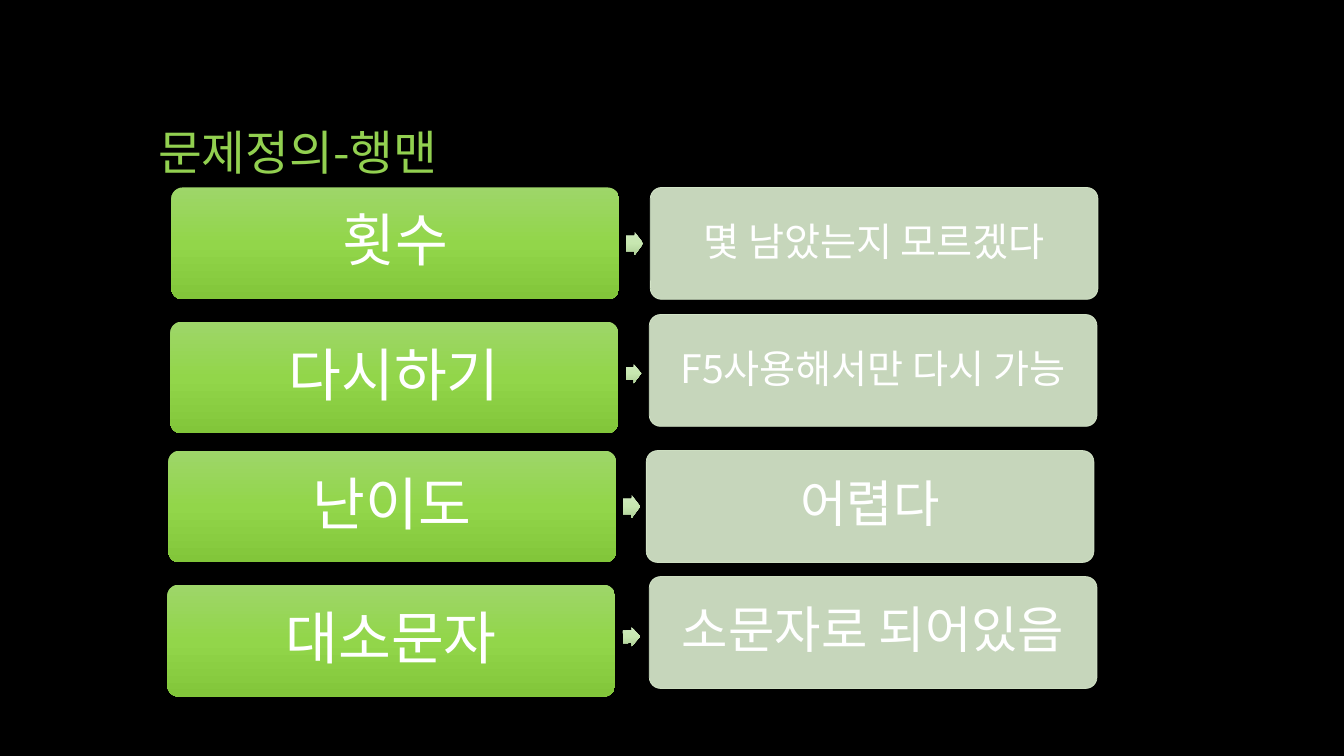
from lxml.etree import SubElement
from pptx import Presentation
from pptx.dml.color import RGBColor
from pptx.enum.shapes import MSO_SHAPE as Preset
from pptx.enum.text import MSO_ANCHOR as Anchor, PP_ALIGN as Align
from pptx.oxml import parse_xml
from pptx.oxml.ns import nsdecls, qn
from pptx.util import Inches, Pt

FONT = "Noto Sans CJK KR"
BLACK = RGBColor(0x00, 0x00, 0x00)
WHITE = RGBColor(0xFF, 0xFF, 0xFF)
TITLE_GREEN = RGBColor(0x92, 0xD0, 0x50)
PALE_GREEN = RGBColor(0xDC, 0xEE, 0xD0)
TOPIC_SHADES = [RGBColor(0x9E, 0xD6, 0x69), RGBColor(0x92, 0xD6, 0x4A), RGBColor(0x82, 0xC6, 0x3A)]
ARROW_SHADES = [RGBColor(0xCF, 0xE9, 0xBD), RGBColor(0xC7, 0xE7, 0xB0), RGBColor(0xB0, 0xD1, 0x99)]

CARD_WIDTH, CARD_HEIGHT = 4.44, 1.11

# Topic, problem, problem text size, topic (left, top), problem (left, top),
# arrow (left, top, width, height, rotation)
ROWS = [
    ("횟수", "몇 남았는지 모르겠다", 28, (1.70, 1.86), (6.45, 1.86), (6.21, 2.30, 0.17, 0.23, 0)),
    ("다시하기", "F5사용해서만 다시 가능", 28, (1.69, 3.19), (6.44, 3.12), (6.21, 3.61, 0.15, 0.19, 359.1)),
    ("난이도", "어렵다", 36, (1.67, 4.47), (6.41, 4.47), (6.18, 4.91, 0.17, 0.23, 0)),
    ("대소문자", "소문자로 되어있음", 36, (1.66, 5.80), (6.44, 5.72), (6.18, 6.22, 0.17, 0.19, 359)),
]


def write_text(box, text, size, color, align):
    frame = box.text_frame
    frame.word_wrap = True
    frame.text = text
    para = frame.paragraphs[0]
    para.alignment = align
    para.line_spacing = 0.9
    span = para.runs[0]
    span.font.name = FONT
    span.font.size = Pt(size)
    span.font.color.rgb = color
    SubElement(span.font._element, qn("a:ea")).set("typeface", FONT)


def add_plain_shape(page, preset, left, top, width, height):
    shape = page.shapes.add_shape(preset, Inches(left), Inches(top), Inches(width), Inches(height))
    shape.shadow.inherit = False
    shape.line.fill.background()
    return shape


def shade_downward(shape, shades):
    """Fill with three evenly spaced stops from top to bottom."""
    stops = "".join(
        f'<a:gs pos="{index * 50000}"><a:srgbClr val="{shade}"/></a:gs>'
        for index, shade in enumerate(shades))
    gradient = parse_xml(
        f'<a:gradFill {nsdecls("a")} rotWithShape="1"><a:gsLst>{stops}</a:gsLst>'
        '<a:lin ang="5400000" scaled="0"/></a:gradFill>')
    shape._element.spPr.find(qn("a:prstGeom")).addnext(gradient)


def add_card(page, left, top, text, size, inset):
    card = add_plain_shape(page, Preset.ROUNDED_RECTANGLE, left, top, CARD_WIDTH, CARD_HEIGHT)
    card.adjustments[0] = 0.1
    frame = card.text_frame
    frame.vertical_anchor = Anchor.MIDDLE
    frame.margin_left = frame.margin_right = Inches(inset)
    frame.margin_top = frame.margin_bottom = Inches(inset)
    write_text(card, text, size, WHITE, Align.CENTER)
    return card


def add_arrow(page, left, top, width, height, rotation):
    arrow = add_plain_shape(page, Preset.RIGHT_ARROW, left, top, width, height)
    arrow.adjustments[0] = 0.667
    arrow.adjustments[1] = 0.5
    arrow.rotation = rotation
    shade_downward(arrow, ARROW_SHADES)


def add_row(page, topic, problem, problem_size, topic_spot, problem_spot, arrow_box):
    # Topic
    shade_downward(add_card(page, *topic_spot, topic, 41, 0.09), TOPIC_SHADES)
    add_arrow(page, *arrow_box)

    # Problem, slightly see-through
    card = add_card(page, *problem_spot, problem, problem_size, 0.07)
    card.line.width = Pt(0.5)
    for fill in (card.fill, card.line.fill):
        fill.solid()
        fill.fore_color.rgb = PALE_GREEN
    for color in card._element.spPr.iter(qn("a:srgbClr")):
        SubElement(color, qn("a:alpha")).set("val", "90000")


def add_title(page, left, top, width, height):
    box = page.shapes.add_textbox(Inches(left), Inches(top), Inches(width), Inches(height))
    write_text(box, "문제정의-행맨", 34, TITLE_GREEN, Align.LEFT)


deck = Presentation()
deck.slide_width, deck.slide_height = Inches(13.33), Inches(7.5)
page = deck.slides.add_slide(deck.slide_layouts[6])
page.background.fill.solid()
page.background.fill.fore_color.rgb = BLACK

add_title(page, 1.47, 1.23, 10, 1.65)
for row in ROWS:
    add_row(page, *row)

deck.save("out.pptx")
